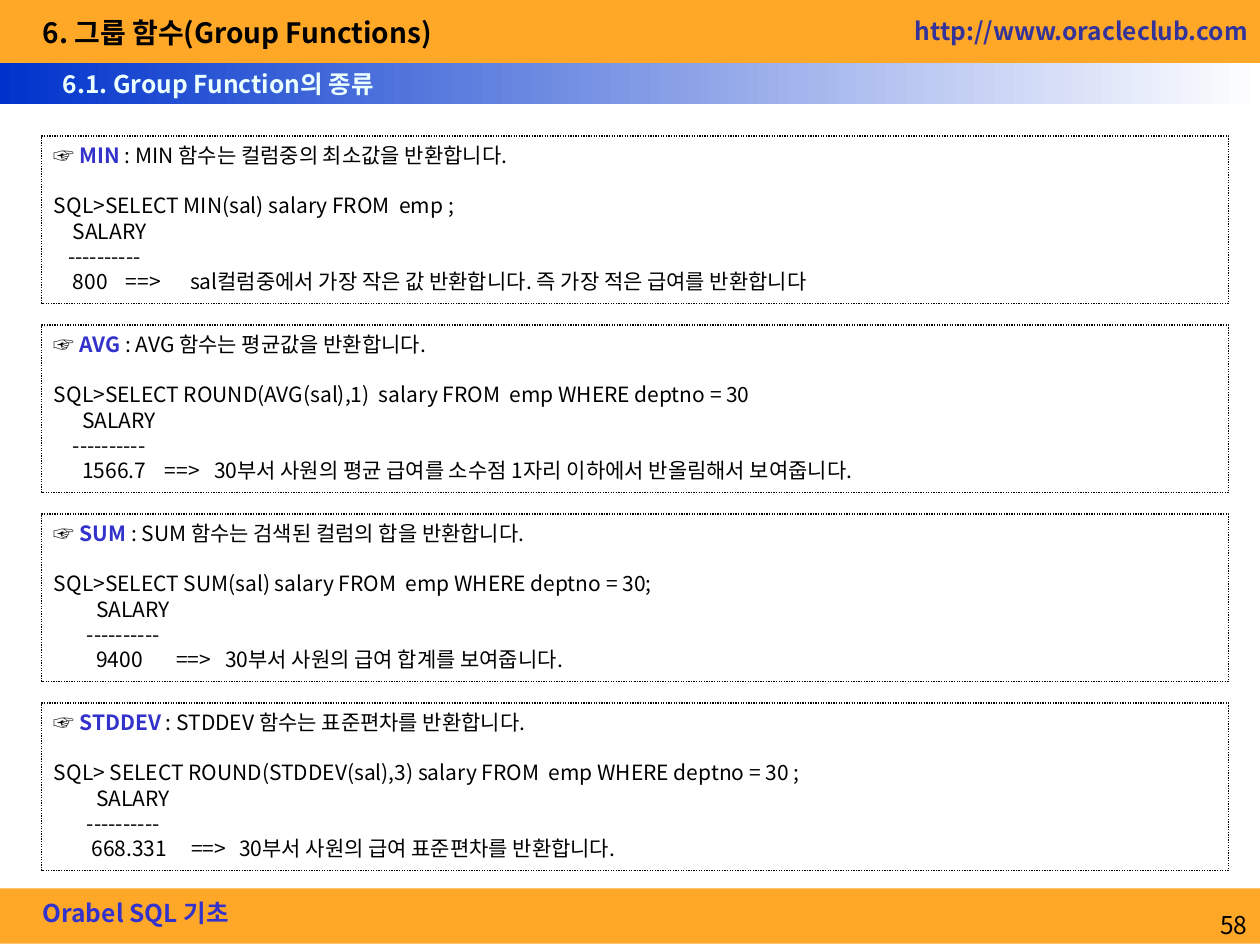
from lxml.etree import SubElement
from pptx import Presentation
from pptx.dml.color import RGBColor
from pptx.enum.dml import MSO_LINE
from pptx.enum.shapes import MSO_SHAPE
from pptx.enum.text import MSO_ANCHOR, MSO_AUTO_SIZE, PP_ALIGN
from pptx.oxml.ns import qn
from pptx.util import Inches, Pt

FONT = "Noto Sans CJK KR"
BLACK, WHITE, ORANGE = "000000", "FFFFFF", "FFA827"
ACCENT, LINK, ICE, BLUE = "3333CC", "333399", "EBFFFF", "0033CC"


def color(hex_code):
    return RGBColor.from_string(hex_code)


class LectureSlide:
    """Hold the lecture style and draw each kind of element on one slide."""

    def __init__(self, deck):
        self.slide = deck.slides.add_slide(deck.slide_layouts[5])

    def style(self, paragraph, size, hex_code=BLACK, bold=False):
        font = paragraph.font
        font.size, font.bold, font.name = Pt(size), bold, FONT
        font.color.rgb = color(hex_code)
        defaults = paragraph._p.get_or_add_pPr().find(qn("a:defRPr"))
        SubElement(defaults, qn("a:ea"), typeface=FONT)

    def tabs(self, paragraph, stops):
        tab_list = SubElement(paragraph._p.get_or_add_pPr(), qn("a:tabLst"))
        for stop in stops:
            SubElement(tab_list, qn("a:tab"), pos=str(Inches(stop)), algn="l")

    def rectangle(self, left, top, width, height):
        box = self.slide.shapes.add_shape(
            MSO_SHAPE.RECTANGLE, Inches(left), Inches(top), Inches(width), Inches(height))
        box.shadow.inherit = False
        return box

    def band(self, top, height, start, end=None):
        bar = self.rectangle(0, top, 10, height)
        bar.line.fill.background()
        if end is None:
            bar.fill.solid()
            bar.fill.fore_color.rgb = color(start)
            return
        bar.fill.gradient()
        bar.fill.gradient_angle = 0
        for stop, hex_code in zip(bar.fill.gradient_stops, (start, end)):
            stop.color.rgb = color(hex_code)

    def heading_text(self, holder, text, size, hex_code, bold=True, align=PP_ALIGN.LEFT):
        frame = holder.text_frame
        frame.text = text
        frame.auto_size = MSO_AUTO_SIZE.NONE
        frame.word_wrap = False
        frame.vertical_anchor = MSO_ANCHOR.TOP
        frame.paragraphs[0].alignment = align
        self.style(frame.paragraphs[0], size, hex_code, bold)

    def title(self, left, top, width, height, text):
        heading = self.slide.shapes.title
        heading.left, heading.top = Inches(left), Inches(top)
        heading.width, heading.height = Inches(width), Inches(height)
        self.slide.shapes._spTree.append(heading._element)
        self.heading_text(heading, text, 16, BLACK)

    def label(self, left, top, width, height, text, hex_code, **options):
        box = self.slide.shapes.add_textbox(
            Inches(left), Inches(top), Inches(width), Inches(height))
        self.heading_text(box, text, 14, hex_code, **options)

    def example(self, top, term, meaning, query, output, stops):
        panel = self.rectangle(0.33, top, 9.42, 1.33)
        panel.fill.background()
        panel.line.color.rgb = color(BLACK)
        panel.line.width = Pt(0.75)
        panel.line.dash_style = MSO_LINE.ROUND_DOT
        frame = panel.text_frame
        frame.word_wrap = True
        frame.vertical_anchor = MSO_ANCHOR.TOP

        intro = frame.paragraphs[0]
        for text in ("☞ ", term, f" : {term} {meaning}"):
            run = intro.add_run()
            run.text = text
            if text == term:
                run.font.bold = True
                run.font.color.rgb = color(ACCENT)
        for text in (query, *output):
            line = frame.add_paragraph()
            line.text = text
            if text == query:
                line.space_before = Pt(14.5)
            if "\t" in text:
                self.tabs(line, stops)
        for line in frame.paragraphs:
            line.alignment = PP_ALIGN.LEFT
            self.style(line, 12)


EXAMPLES = [
    ("MIN", "함수는 컬럼중의 최소값을 반환합니다.",
     "SQL>SELECT MIN(sal) salary FROM  emp ;",
     ("    SALARY", "   ----------",
      "    800\t==>\tsal컬럼중에서 가장 작은 값 반환합니다. 즉 가장 적은 급여를 반환합니다"),
     (0.57, 1.08)),
    ("AVG", "함수는 평균값을 반환합니다.",
     "SQL>SELECT ROUND(AVG(sal),1)  salary FROM  emp WHERE deptno = 30",
     ("      SALARY", "    ----------",
      "      1566.7\t==>\t30부서 사원의 평균 급여를 소수점 1자리 이하에서 반올림해서 보여줍니다."),
     (0.88, 1.27)),
    ("SUM", "함수는 검색된 컬럼의 합을 반환합니다.",
     "SQL>SELECT SUM(sal) salary FROM  emp WHERE deptno = 30;",
     ("         SALARY", "       ----------",
      "         9400\t==>\t30부서 사원의 급여 합계를 보여줍니다."),
     (0.97, 1.36)),
    ("STDDEV", "함수는 표준편차를 반환합니다.",
     "SQL> SELECT ROUND(STDDEV(sal),3) salary FROM  emp WHERE deptno = 30 ;",
     ("         SALARY", "       ----------",
      "        668.331\t==>\t30부서 사원의 급여 표준편차를 반환합니다."),
     (1.09, 1.47)),
]


def main():
    deck = Presentation()
    deck.slide_width, deck.slide_height = Inches(10), Inches(7.5)
    page = LectureSlide(deck)
    page.band(0, 0.5, ORANGE)
    page.band(7.05, 0.44, ORANGE)
    page.band(0.5, 0.33, BLUE, WHITE)
    page.label(0.24, 7.08, 1.71, 0.34, "Orabel SQL 기초", ACCENT)
    page.label(7.16, 0.08, 2.87, 0.34, "http://www.oracleclub.com", LINK)
    page.label(7.92, 7.17, 2.08, 0.33, "58", BLACK, bold=False, align=PP_ALIGN.RIGHT)
    page.title(0.24, 0.07, 3.48, 0.37, "6. 그룹 함수(Group Functions)")
    page.label(0.4, 0.5, 2.8, 0.34, "6.1. Group Function의 종류", ICE)
    for row, example in enumerate(EXAMPLES):
        page.example(1.08 + 1.5 * row, *example)
    deck.save("out.pptx")


if __name__ == "__main__":
    main()
